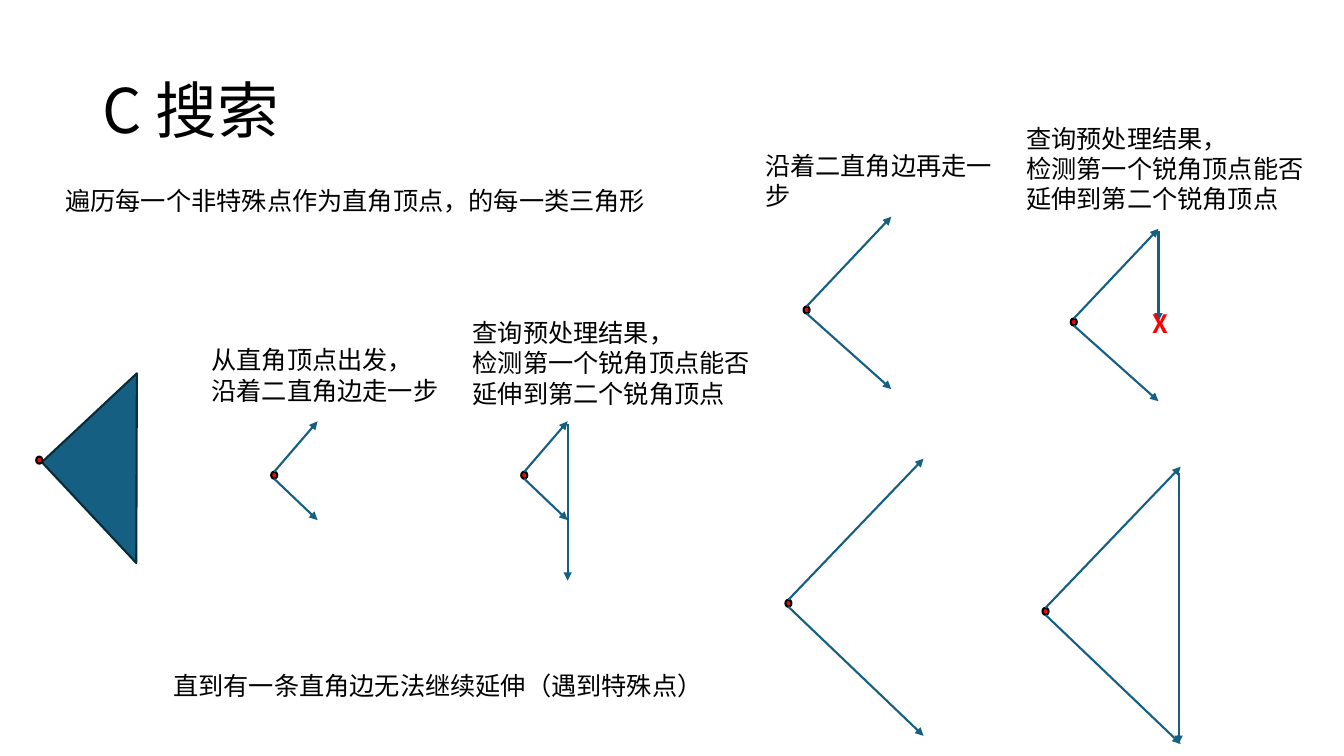
from lxml import etree
from pptx import Presentation
from pptx.dml.color import RGBColor
from pptx.enum.shapes import MSO_CONNECTOR, MSO_SHAPE
from pptx.enum.text import MSO_ANCHOR
from pptx.oxml.ns import qn
from pptx.util import Pt

LINE = MSO_CONNECTOR.STRAIGHT
OVAL = MSO_SHAPE.OVAL
WEDGE = MSO_SHAPE.RIGHT_TRIANGLE
TOP, MID = MSO_ANCHOR.TOP, MSO_ANCHOR.MIDDLE

PX = 9144  # EMU per px, 100 px to the inch
FONT = "Noto Sans CJK SC"
BLACK, RED, BLUE, NAVY = "000000", "FF0000", "156082", "092A39"
DOT_W, DOT_H = 6, 7

# Reach of a step: across, up, down from the corner
SMALL, MEDIUM, LARGE = (46, 50, 48), (87, 89, 82), (137, 140, 135)

CHECK = ["查询预处理结果，", "检测第一个锐角顶点能否延伸到第二个锐角顶点"]


def px(*nums):
    return [round(n * PX) for n in nums]


def color(code):
    return RGBColor.from_string(code)


def text(slide, box, lines, size=18, tint=BLACK, bold=False, anchor=TOP, gap=1.0):
    frame = slide.shapes.add_textbox(*px(*box)).text_frame
    frame.word_wrap = True
    frame.vertical_anchor = anchor
    for i, line in enumerate(lines):
        para = frame.paragraphs[0] if i == 0 else frame.add_paragraph()
        para.line_spacing = gap
        run = para.add_run()
        run.text = line
        font = run.font
        font.name, font.size, font.bold = FONT, Pt(size), bold
        font.color.rgb = color(tint)
        # East Asian typeface
        props = run._r.get_or_add_rPr()
        east = etree.Element(qn("a:ea"), typeface=FONT)
        props.find(qn("a:latin")).addnext(east)


def shape(slide, kind, box, fill, edge):
    item = slide.shapes.add_shape(kind, *px(*box))
    item.shadow.inherit = False
    item.fill.solid()
    item.fill.fore_color.rgb = color(fill)
    item.line.color.rgb = color(edge)
    item.line.width = Pt(1.5)
    return item


def dot(slide, x, y):
    shape(slide, OVAL, (x, y, DOT_W, DOT_H), RED, BLACK)


def arrow(slide, x1, y1, x2, y2):
    item = slide.shapes.add_connector(LINE, *px(x1, y1, x2, y2))
    item.line.color.rgb = color(BLUE)
    item.line.width = Pt(1.5)
    etree.SubElement(item.line._get_or_add_ln(), qn("a:tailEnd"), type="triangle")
    etree.SubElement(item._element.spPr, qn("a:effectLst"))


def fan(slide, x, y, reach, side=None):
    """Corner dot, its two legs, and an optional side (inset, drop, length)."""
    across, up, down = reach
    mid = x + DOT_W // 2
    dot(slide, x, y)
    arrow(slide, mid, y, x + across, y - up)
    arrow(slide, mid, y + DOT_H, x + across, y + down)
    if side:
        inset, drop, length = side
        start = y - up + drop
        arrow(slide, x + across - inset, start, x + across - inset, start + length)


def heading(slide):
    text(slide, (92, 40, 1150, 145), ["C 搜索"], 44, anchor=MID, gap=0.9)
    text(slide, (55, 179, 788, 40), ["遍历每一个非特殊点作为直角顶点，的每一类三角形"])


def target(slide, x, y):
    wedge = shape(slide, WEDGE, (x + 31, y - 53, 137, 129), BLUE, NAVY)
    wedge.rotation = 46.9
    dot(slide, x, y)


def first_step(slide, x, y):
    fan(slide, x, y, SMALL)
    text(slide, (x - 69, y - 131, 267, 71), ["从直角顶点出发，", "沿着二直角边走一步"])


def first_check(slide, x, y):
    fan(slide, x, y, SMALL, (0, 3, 155))
    text(slide, (x - 58, y - 158, 301, 101), CHECK)


def next_step(slide, x, y):
    fan(slide, x, y, MEDIUM)
    text(slide, (x - 48, y - 160, 267, 71), ["沿着二直角边再走一步"])


def next_check(slide, x, y):
    fan(slide, x, y, MEDIUM, (0, 2, 90))
    text(slide, (x - 54, y - 199, 301, 101), CHECK)
    text(slide, (x + 71, y - 15, 105, 40), ["X"], tint=RED, bold=True)


def last_step(slide, x, y):
    text(slide, (162, 660, 788, 40), ["直到有一条直角边无法继续延伸（遇到特殊点）"])
    fan(slide, x, y, LARGE)


def last_check(slide, x, y):
    fan(slide, x, y, LARGE, (2, 6, 269))


def main():
    deck = Presentation()
    deck.slide_width, deck.slide_height = px(1333, 750)
    slide = deck.slides.add_slide(deck.slide_layouts[6])
    heading(slide)
    # Search stages, each placed by its right-angle corner
    target(slide, 36, 453)
    first_step(slide, 269, 468)
    first_check(slide, 517, 468)
    next_step(slide, 797, 304)
    next_check(slide, 1062, 316)
    last_step(slide, 779, 595)
    last_check(slide, 1034, 603)
    deck.save("out.pptx")


if __name__ == "__main__":
    main()
